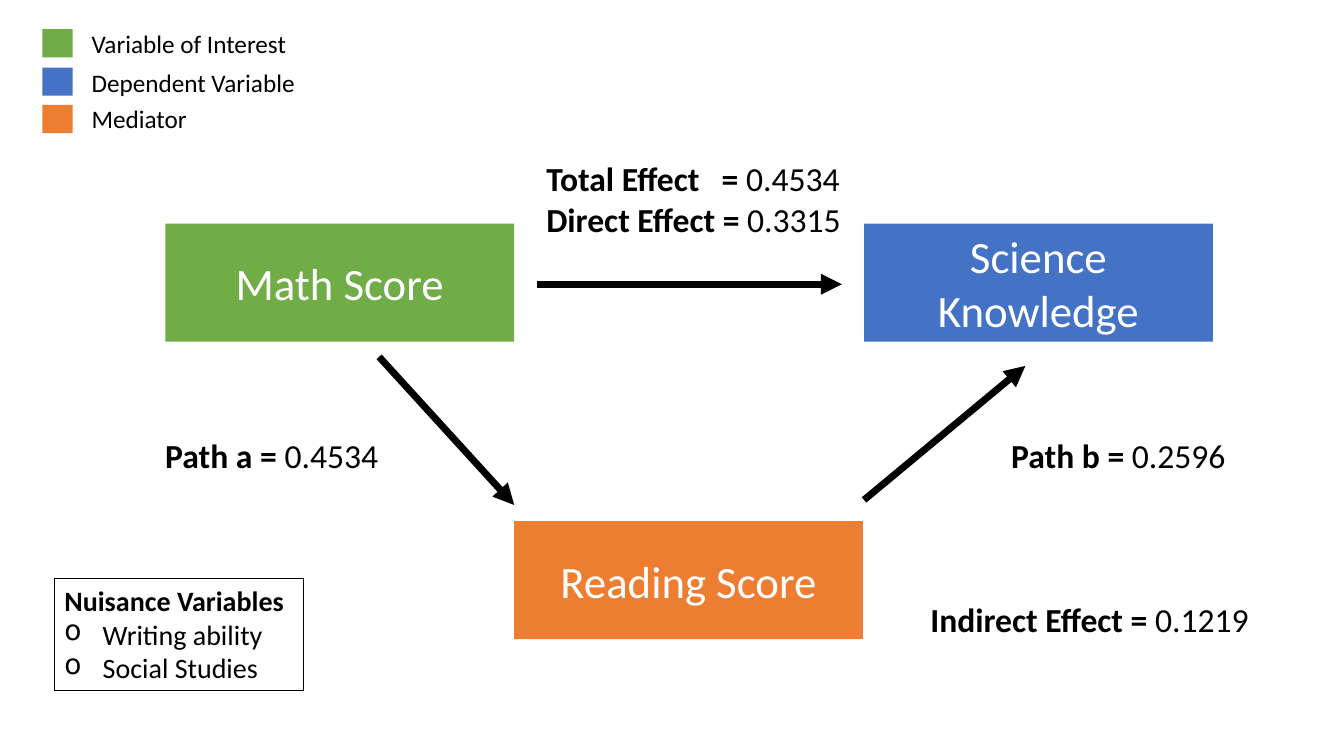
"""Build a mediation diagram slide with a legend, paths and effect sizes."""
from dataclasses import dataclass
from typing import NamedTuple

from lxml import etree
from pptx import Presentation
from pptx import util as u
from pptx.dml.color import RGBColor
from pptx.enum import shapes, text
from pptx.oxml.ns import qn

GREEN = RGBColor(0x70, 0xAD, 0x47)
BLUE = RGBColor(0x44, 0x72, 0xC4)
ORANGE = RGBColor(0xED, 0x7D, 0x31)
BLACK = RGBColor(0, 0, 0)
WHITE = RGBColor(0xFF, 0xFF, 0xFF)

FONT = "Calibri"
BOX_WIDTH, BOX_HEIGHT = 3.46, 1.17
EQUALS_TAB = 1.74
BULLET_INDENT = 0.38


class Area(NamedTuple):
    left: float
    top: float
    width: float
    height: float


class Span(NamedTuple):
    wording: str
    bold: bool = False


class Line(NamedTuple):
    spans: list[Span]
    bullet: bool = False


@dataclass
class Variable:
    name: str
    left: float
    top: float
    color: RGBColor


@dataclass
class LegendEntry:
    label: str
    swatch_top: float
    label_top: float
    color: RGBColor


@dataclass
class Arrow:
    start: tuple[float, float]
    end: tuple[float, float]


@dataclass
class Effect:
    area: Area
    values: list[tuple[str, str]]


VARIABLES = [
    Variable("Math Score", 1.64, 2.22, GREEN),
    Variable("Science Knowledge", 8.57, 2.22, BLUE),
    Variable("Reading Score", 5.1, 5.17, ORANGE),
]
LEGEND = [
    LegendEntry("Variable of Interest", 0.29, 0.23, GREEN),
    LegendEntry("Dependent Variable", 0.67, 0.62, BLUE),
    LegendEntry("Mediator", 1.04, 0.98, ORANGE),
]
ARROWS = [
    Arrow((3.76, 3.54), (5.1, 5.01)),
    Arrow((5.33, 2.82), (8.35, 2.82)),
    Arrow((8.57, 4.96), (10.17, 3.63)),
]
EFFECTS = [
    Effect(Area(5.32, 1.52, 3.46, 0.91),
           [("Total Effect\t= ", "0.4534"), ("Direct Effect = ", "0.3315")]),
    Effect(Area(1.54, 4.27, 2.42, 0.5), [("Path a = ", "0.4534")]),
    Effect(Area(9.93, 4.27, 2.42, 0.5), [("Path b = ", "0.2596")]),
    Effect(Area(9.13, 5.89, 3.46, 0.5), [("Indirect Effect = ", "0.1219")]),
]
NUISANCE = [
    Line([Span("Nuisance Variables", True)]),
    Line([Span("Writing ability")], bullet=True),
    Line([Span("Social Studies")], bullet=True),
]


def inches(values) -> list[u.Length]:
    """Convert numbers to lengths."""
    return [u.Inches(value) for value in values]


def set_all(target, values: dict) -> None:
    """Set every named attribute on the target."""
    for name, value in values.items():
        setattr(target, name, value)


def add_rectangle(page, area: Area, color: RGBColor | None = None):
    """Add a filled rectangle, or an outlined one when no color is given."""
    box = page.shapes.add_shape(shapes.MSO_SHAPE.RECTANGLE, *inches(area))
    box.shadow.inherit = False
    if color is None:
        box.fill.background()
        box.line.color.rgb = BLACK
        box.line.width = u.Pt(0.75)
    else:
        box.fill.solid()
        box.fill.fore_color.rgb = color
        box.line.fill.background()
    return box


def write(box, lines: list[Line], size: int, color: RGBColor = BLACK,
          align=text.PP_ALIGN.LEFT, anchor=text.MSO_ANCHOR.TOP) -> None:
    """Write formatted lines into a box."""
    frame = box.text_frame
    set_all(frame, {"word_wrap": True, "vertical_anchor": anchor})
    for index, line in enumerate(lines):
        para = frame.add_paragraph() if index else frame.paragraphs[0]
        para.alignment = align
        for wording, bold in line.spans:
            span = para.add_run()
            span.text = wording
            set_all(span.font, {"name": FONT, "size": u.Pt(size), "bold": bold})
            span.font.color.rgb = color
            if "\t" in wording:
                add_tab_stop(para)
        if line.bullet:
            add_bullet(para)


def add_tab_stop(para) -> None:
    """Align the equals sign at a tab stop."""
    stops = etree.SubElement(para._p.get_or_add_pPr(), qn("a:tabLst"))
    etree.SubElement(stops, qn("a:tab"), pos=str(u.Inches(EQUALS_TAB)), algn="l")


def add_bullet(para) -> None:
    """Give a paragraph a hanging round bullet."""
    properties = para._p.get_or_add_pPr()
    indent = u.Inches(BULLET_INDENT)
    properties.set("marL", str(indent))
    properties.set("indent", str(-indent))
    etree.SubElement(properties, qn("a:buChar"), char="o")


def add_arrow(page, arrow: Arrow) -> None:
    """Draw a thick black arrow."""
    connector = page.shapes.add_connector(
        shapes.MSO_CONNECTOR.STRAIGHT, *inches(arrow.start + arrow.end))
    connector.line.color.rgb = BLACK
    connector.line.width = u.Pt(5)
    etree.SubElement(connector.line._get_or_add_ln(), qn("a:tailEnd"), type="triangle")
    etree.SubElement(connector._element.spPr, qn("a:effectLst"))


def main() -> None:
    """Assemble and save the slide."""
    deck = Presentation()
    set_all(deck, {"slide_width": u.Inches(13.33), "slide_height": u.Inches(7.5)})
    page = deck.slides.add_slide(deck.slide_layouts[6])

    for variable in VARIABLES:
        box = add_rectangle(
            page, Area(variable.left, variable.top, BOX_WIDTH, BOX_HEIGHT), variable.color)
        write(box, [Line([Span(variable.name)])], 32, WHITE,
              text.PP_ALIGN.CENTER, text.MSO_ANCHOR.MIDDLE)
    for entry in LEGEND:
        add_rectangle(page, Area(0.42, entry.swatch_top, 0.3, 0.28), entry.color)
        label = page.shapes.add_textbox(*inches(Area(0.81, entry.label_top, 2.28, 0.4)))
        write(label, [Line([Span(entry.label)])], 18)
    for arrow in ARROWS:
        add_arrow(page, arrow)
    for effect in EFFECTS:
        box = page.shapes.add_textbox(*inches(effect.area))
        write(box, [Line([Span(name, True), Span(value)]) for name, value in effect.values], 24)
    write(add_rectangle(page, Area(0.54, 5.74, 2.47, 1.11)), NUISANCE, 20)

    deck.save("out.pptx")


if __name__ == "__main__":
    main()
